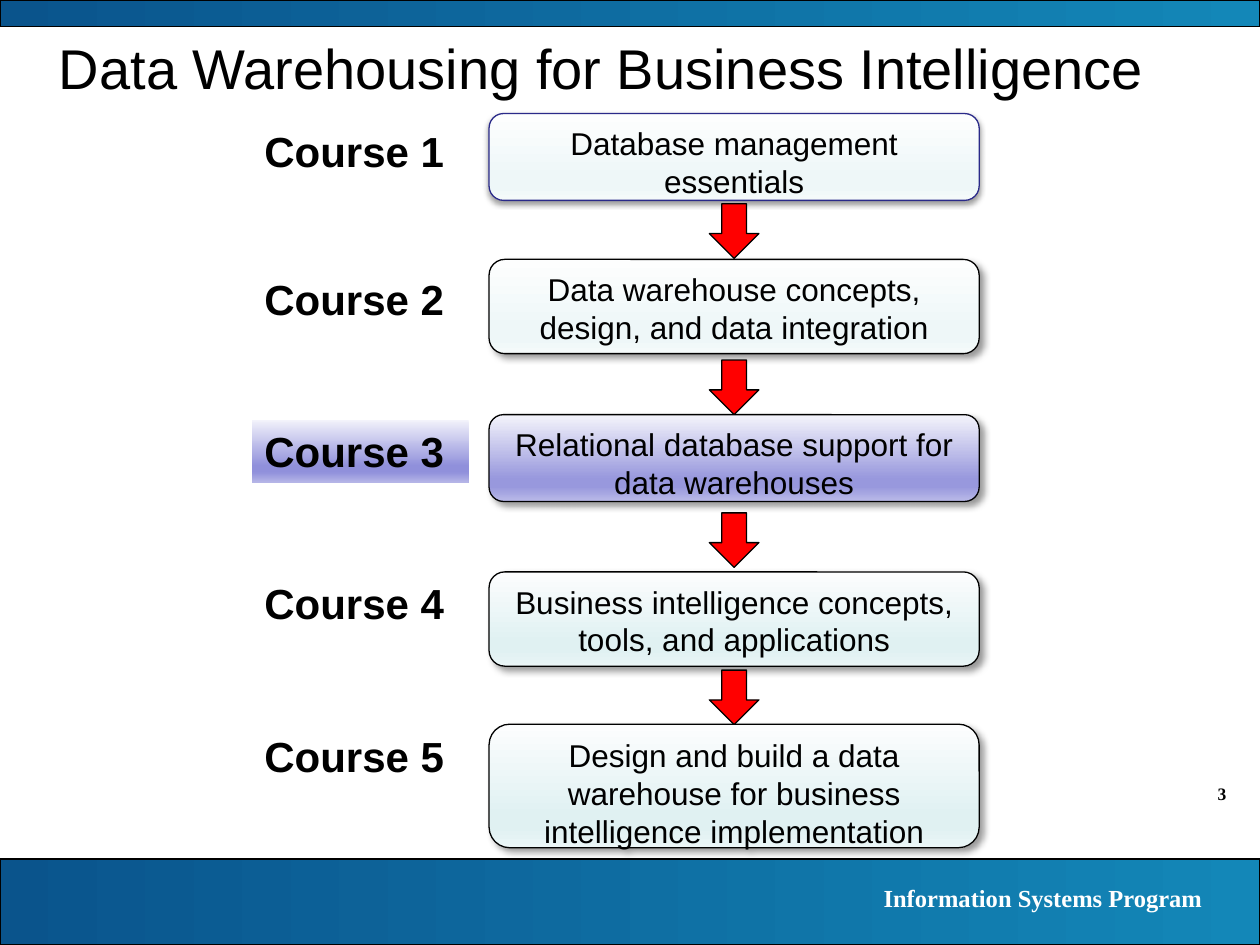
from dataclasses import dataclass
from typing import NamedTuple, Optional

from lxml import etree
from pptx import Presentation
from pptx.dml.color import RGBColor
from pptx.enum import shapes, text
from pptx.oxml.ns import qn
from pptx.util import Cm, Pt


class Gradient(NamedTuple):
    stops: tuple[tuple[int, str], ...]
    angle: int = 90


class Shadow(NamedTuple):
    alpha: int
    blur: float
    distance: float
    angle: int


class TextStyle(NamedTuple):
    font: str
    size: int
    color: str = "000000"
    bold: bool = False
    align: text.PP_ALIGN = text.PP_ALIGN.LEFT


class Area(NamedTuple):
    """Left, top, width and height in centimetres."""
    left: float
    top: float
    width: float
    height: float


def sheen(top: str, middle: str, bottom: str) -> Gradient:
    return Gradient(((0, top), (74, middle), (83, middle), (100, bottom)))


@dataclass(frozen=True)
class Theme:
    band: Gradient = Gradient(((0, "0A548C"), (100, "1387B8")), 0)
    pale: Gradient = sheen("FDFEFE", "EEF7F8", "F4FAFA")
    mint: Gradient = sheen("FCFDFE", "E0F1F2", "EBF6F7")
    violet: Gradient = sheen("F4F4FB", "9898DD", "BABAE8")
    label_violet: Gradient = sheen("F3F3FB", "9090DB", "B5B5E7")
    black: str = "000000"
    navy: str = "2A2A89"
    arrow: str = "FF0000"
    line_width: float = 0.75
    soft: Shadow = Shadow(38, 3.1, 1.6, 90)
    diagonal: Shadow = Shadow(40, 4, 3, 45)
    title: TextStyle = TextStyle("Arial", 32)
    topic: TextStyle = TextStyle("Arial", 18, align=text.PP_ALIGN.CENTER)
    label: TextStyle = TextStyle("Arial", 24, bold=True)
    number: TextStyle = TextStyle("Times New Roman", 10, bold=True, align=text.PP_ALIGN.RIGHT)
    program: TextStyle = TextStyle("Times New Roman", 14, "FFFFFF", True, text.PP_ALIGN.RIGHT)


THEME = Theme()
BOX_LEFT, BOX_WIDTH = 9.86, 9.88
LABEL_LEFT, LABEL_WIDTH, LABEL_HEIGHT = 5.08, 4.37, 1.27
ARROW_WIDTH, ARROW_HEIGHT = 1.0, 1.1


@dataclass(frozen=True)
class Course:
    topic: str
    top: float
    height: float
    label_top: float
    fill: Gradient
    arrow_top: Optional[float] = None
    line: str = THEME.black
    shadow: Shadow = THEME.diagonal
    label_fill: Optional[Gradient] = None


COURSES = (
    Course("Database management essentials", 2.29, 1.75, 2.41, THEME.pale, 4.11,
           line=THEME.navy, shadow=THEME.soft),
    Course("Data warehouse concepts, design, and data integration",
           5.23, 1.9, 5.38, THEME.pale, 7.26),
    Course("Relational database support for data warehouses",
           8.36, 1.75, 8.46, THEME.violet, 10.34, label_fill=THEME.label_violet),
    Course("Business intelligence concepts, tools, and applications",
           11.53, 1.9, 11.51, THEME.mint, 13.51),
    Course("Design and build a data warehouse for business intelligence implementation",
           14.6, 2.49, 14.6, THEME.mint),
)


def apply_gradient(shape, gradient: Gradient) -> None:
    shape.fill.gradient()
    grad = shape._element.spPr.find(qn("a:gradFill"))
    for child in list(grad):
        grad.remove(child)
    stops = etree.SubElement(grad, qn("a:gsLst"))
    for position, color in gradient.stops:
        stop = etree.SubElement(stops, qn("a:gs"), pos=str(position * 1000))
        etree.SubElement(stop, qn("a:srgbClr"), val=color)
    etree.SubElement(grad, qn("a:lin"), ang=str(gradient.angle * 60000), scaled="0")


def apply_shadow(shape, shadow: Shadow) -> None:
    effects = shape._element.spPr.find(qn("a:effectLst"))
    outer = etree.SubElement(
        effects, qn("a:outerShdw"), blurRad=str(Pt(shadow.blur)),
        dist=str(Pt(shadow.distance)), dir=str(shadow.angle * 60000),
        algn="tl", rotWithShape="0")
    color = etree.SubElement(outer, qn("a:srgbClr"), val=THEME.black)
    etree.SubElement(color, qn("a:alpha"), val=str(shadow.alpha * 1000))


def write(shape, words: str, style: TextStyle, anchor=text.MSO_ANCHOR.TOP) -> None:
    frame = shape.text_frame
    frame.word_wrap = True
    frame.vertical_anchor = anchor
    paragraph = frame.paragraphs[0]
    paragraph.text = words
    paragraph.alignment = style.align
    font = paragraph.font
    font.name, font.size, font.bold = style.font, Pt(style.size), style.bold
    font.color.rgb = RGBColor.from_string(style.color)


def add_text(slide, area: Area, words: str, style: TextStyle, anchor=text.MSO_ANCHOR.TOP):
    box = slide.shapes.add_textbox(*map(Cm, area))
    write(box, words, style, anchor)
    return box


def add_figure(slide, kind: shapes.MSO_SHAPE, area: Area, fill: Gradient | str,
               line: Optional[str] = THEME.black):
    figure = slide.shapes.add_shape(kind, *map(Cm, area))
    figure.shadow.inherit = False
    if isinstance(fill, Gradient):
        apply_gradient(figure, fill)
    else:
        figure.fill.solid()
        figure.fill.fore_color.rgb = RGBColor.from_string(fill)
    if line:
        figure.line.color.rgb = RGBColor.from_string(line)
        figure.line.width = Pt(THEME.line_width)
    else:
        figure.line.fill.background()
    return figure


def add_course(slide, number: int, course: Course) -> None:
    """Draw the course label, its topic box and the arrow to the next course."""
    topic = add_figure(slide, shapes.MSO_SHAPE.ROUNDED_RECTANGLE,
                       Area(BOX_LEFT, course.top, BOX_WIDTH, course.height),
                       course.fill, course.line)
    apply_shadow(topic, course.shadow)
    write(topic, course.topic, THEME.topic)

    label_area = Area(LABEL_LEFT, course.label_top, LABEL_WIDTH, LABEL_HEIGHT)
    name = f"Course {number}"
    if course.label_fill:
        label = add_figure(slide, shapes.MSO_SHAPE.RECTANGLE, label_area,
                           course.label_fill, line=None)
        write(label, name, THEME.label)
    else:
        add_text(slide, label_area, name, THEME.label)

    if course.arrow_top is not None:
        arrow_left = BOX_LEFT + (BOX_WIDTH - ARROW_WIDTH) / 2
        add_figure(slide, shapes.MSO_SHAPE.DOWN_ARROW,
                   Area(arrow_left, course.arrow_top, ARROW_WIDTH, ARROW_HEIGHT),
                   THEME.arrow)


def main() -> None:
    deck = Presentation()
    deck.slide_width, deck.slide_height = Cm(25.4), Cm(19.05)
    slide = deck.slides.add_slide(deck.slide_layouts[6])

    add_text(slide, Area(22.86, 15.67, 2.11, 0.69), "3", THEME.number)
    for band in (Area(0, 17.32, 25.4, 1.73), Area(0, 0, 25.4, 0.53)):
        add_figure(slide, shapes.MSO_SHAPE.RECTANGLE, band, THEME.band)
    add_text(slide, Area(14.1, 17.68, 10.39, 0.86), "Information Systems Program", THEME.program)
    title = add_text(slide, Area(0.94, 0.48, 23.29, 1.9),
                     "Data Warehousing for Business Intelligence",
                     THEME.title, text.MSO_ANCHOR.MIDDLE)
    title.text_frame.paragraphs[0].line_spacing = 0.9
    for number, course in enumerate(COURSES, start=1):
        add_course(slide, number, course)

    deck.save("out.pptx")


if __name__ == "__main__":
    main()
